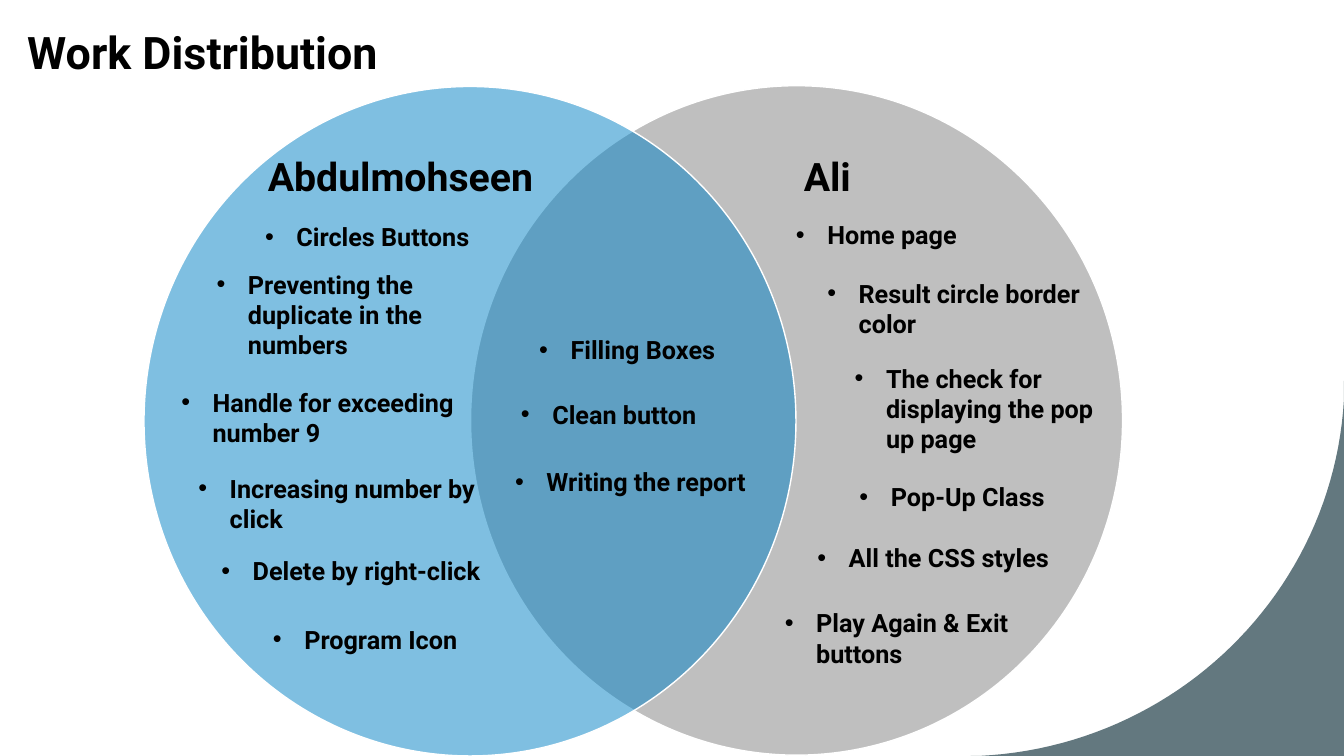
"""Build the Work Distribution slide: a two-circle Venn diagram of tasks."""
from lxml import etree
from pptx import Presentation
from pptx.dml.color import RGBColor
from pptx.enum.shapes import MSO_SHAPE
from pptx.enum.text import MSO_ANCHOR, PP_ALIGN
from pptx.oxml.ns import qn
from pptx.util import Cm, Pt

OVAL = MSO_SHAPE.OVAL
BOTTOM = MSO_ANCHOR.BOTTOM
LEFT, CENTER = PP_ALIGN.LEFT, PP_ALIGN.CENTER
BLACK = RGBColor(0x00, 0x00, 0x00)
WHITE = RGBColor(0xFF, 0xFF, 0xFF)
SLATE = RGBColor(0x63, 0x78, 0x7F)
GRAY = RGBColor(0xBF, 0xBF, 0xBF)
BLUE = RGBColor(0x00, 0x81, 0xC5)
FONT_FORMAT = {"name": "Roboto", "bold": True}


def write_text(frame, text, size, bulleted=False):
    """Fill a text frame with one formatted paragraph and return it."""
    frame.word_wrap = True
    para = frame.paragraphs[0]
    if bulleted:
        properties = para._p.get_or_add_pPr()
        properties.set("marL", str(Cm(0.79)))
        properties.set("indent", str(-Cm(0.79)))
        etree.SubElement(properties, qn("a:buFont")).set("typeface", "Arial")
        etree.SubElement(properties, qn("a:buChar")).set("char", "•")
    span = para.add_run()
    span.text = text
    for name, value in {**FONT_FORMAT, "size": Pt(size)}.items():
        setattr(span.font, name, value)
    span.font.color.rgb = BLACK
    return para


deck = Presentation()
deck.slide_width, deck.slide_height = Cm(33.87), Cm(19.05)
page = deck.slides.add_slide(deck.slide_layouts[5])

curve = [(24.66, 19.05), (29.64, 18.82), (33.6, 14.91), (33.87, 10.06)]
steps = 48
arc = []
for step in range(steps + 1):
    t = step / steps
    weights = [(1 - t) ** 3, 3 * t * (1 - t) ** 2, 3 * t ** 2 * (1 - t), t ** 3]
    arc.append(tuple(Cm(sum(weight * point[axis] for weight, point in zip(weights, curve)))
                     for axis in (0, 1)))
outline = page.shapes.build_freeform(Cm(33.87), Cm(9.6), scale=1.0)
outline.add_line_segments([(Cm(33.87), Cm(19.05)), (Cm(24.46), Cm(19.05)), *arc], close=True)
corner = outline.convert_to_shape()
corner.shadow.inherit = False
corner.fill.solid()
corner.fill.fore_color.rgb = SLATE
corner.line.fill.background()

title = page.shapes.title
title.left, title.top, title.width, title.height = Cm(0.43), Cm(0.25), Cm(27.64), Cm(1.86)
title.text_frame.vertical_anchor = BOTTOM
heading = write_text(title.text_frame, "Work Distribution", 32)
heading.alignment = LEFT
heading.line_spacing = 1.1

for left, top, color, opacity in [(11.86, 2.16, GRAY, 100), (3.63, 2.18, BLUE, 50)]:
    circle = page.shapes.add_shape(OVAL, Cm(left), Cm(top), Cm(16.43), Cm(16.87))
    circle.shadow.inherit = False
    circle.fill.solid()
    circle.fill.fore_color.rgb = color
    circle.line.color.rgb = WHITE
    circle.line.width = Pt(1)
    if opacity < 100:
        color_element = circle.fill._xPr.find(qn("a:solidFill"))[0]
        etree.SubElement(color_element, qn("a:alpha")).set("val", str(opacity * 1000))

for name, left, width, alignment in [("Abdulmohseen", 6.5, 9.7, LEFT), ("Ali", 18.36, 4.98, CENTER)]:
    box = page.shapes.add_textbox(Cm(left), Cm(3.71), Cm(width), Cm(1.45))
    write_text(box.text_frame, name, 28).alignment = alignment

tasks = [
    ("Circles Buttons", 6.43, 5.46, 5.92, 1),
    ("Preventing the duplicate in the numbers", 5.21, 6.65, 7.65, 3),
    ("Handle for exceeding number 9", 4.32, 9.63, 7.65, 2),
    ("Increasing number by click", 4.75, 11.79, 7.65, 2),
    ("Delete by right-click", 5.33, 13.87, 7.65, 1),
    ("Program Icon", 6.63, 15.6, 7.65, 1),
    ("Filling Boxes", 13.34, 8.31, 5.46, 1),
    ("Clean button", 12.88, 9.93, 7.65, 1),
    ("Writing the report", 12.73, 11.63, 7.65, 1),
    ("Home page", 19.81, 5.41, 5.16, 1),
    ("Result circle border color", 20.6, 6.88, 6.99, 2),
    ("The check for displaying the pop up page", 21.29, 9.02, 6.99, 3),
    ("Pop-Up Class", 21.41, 12.01, 5.31, 1),
    ("All the CSS styles", 20.35, 13.54, 7.65, 1),
    ("Play Again & Exit buttons", 19.53, 15.19, 7.65, 2),
]
for task, left, top, width, lines in tasks:
    box = page.shapes.add_textbox(Cm(left), Cm(top), Cm(width), Cm(0.25 + 0.77 * lines))
    write_text(box.text_frame, task, 18, bulleted=True)

deck.save("out.pptx")
